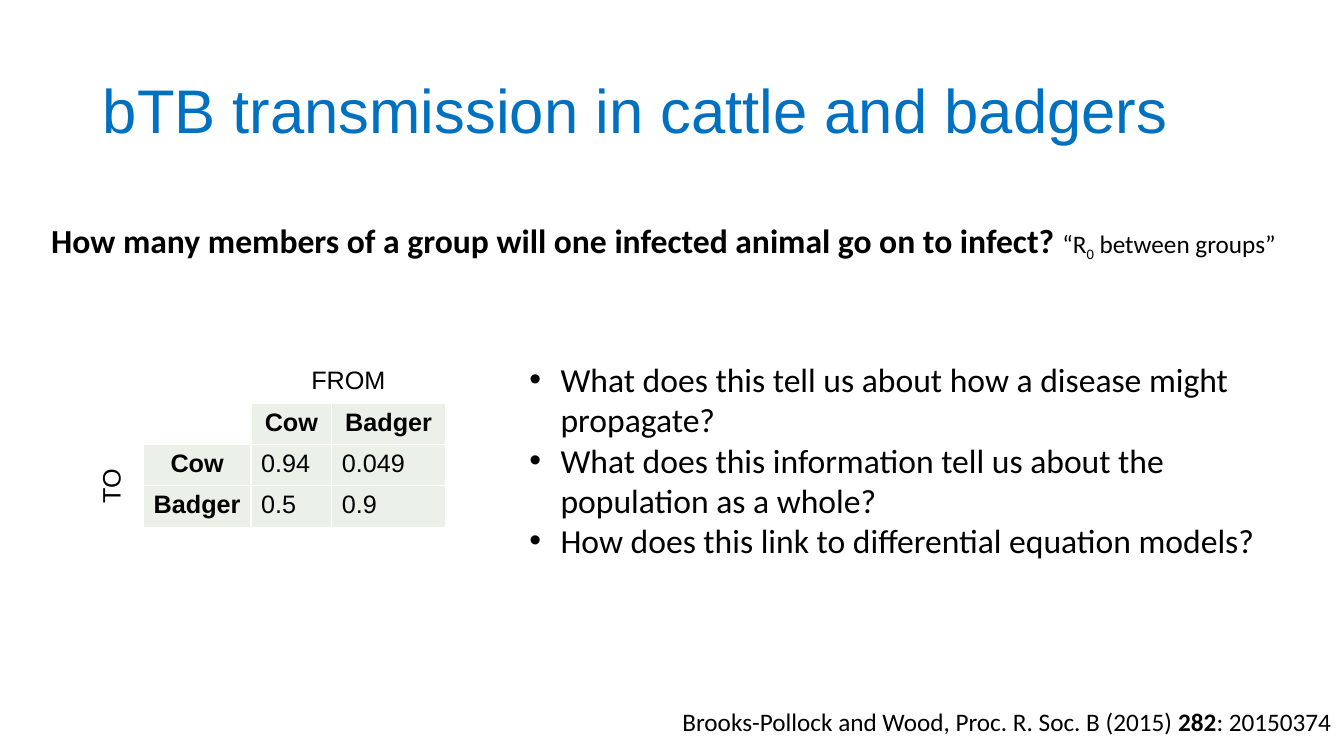
from lxml import etree
from pptx import Presentation
from pptx.dml.color import RGBColor
from pptx.enum.text import MSO_ANCHOR, MSO_AUTO_SIZE, PP_ALIGN
from pptx.oxml.ns import qn
from pptx.util import Inches, Pt

LEFT, CENTER = PP_ALIGN.LEFT, PP_ALIGN.CENTER
MIDDLE, TOP = MSO_ANCHOR.MIDDLE, MSO_ANCHOR.TOP
NO_AUTOFIT = MSO_AUTO_SIZE.NONE

BLUE = RGBColor(0x00, 0x70, 0xC0)
BLACK = RGBColor(0x00, 0x00, 0x00)
WHITE = RGBColor(0xFF, 0xFF, 0xFF)
PALE_GREEN = RGBColor(0xEB, 0xF1, 0xE9)
HEADING_FONT, TEXT_FONT = "Arial", "Calibri"


class SlideBuilder:
    def __init__(self, slide):
        self.slide = slide

    def run(self, paragraph, text, size=18, font=TEXT_FONT, color=BLACK,
            bold=False, baseline=None):
        run = paragraph.add_run()
        run.text = text
        run.font.size = Pt(size)
        run.font.name = font
        run.font.bold = bold
        run.font.color.rgb = color
        if baseline is not None:
            run.font._element.set("baseline", str(baseline))

    def place(self, shape, box, anchor):
        shape.left, shape.top, shape.width, shape.height = map(Inches, box)
        frame = shape.text_frame
        frame.word_wrap = True
        frame.auto_size = NO_AUTOFIT
        frame.vertical_anchor = anchor
        return frame

    def title(self, text, box):
        frame = self.place(self.slide.shapes.title, box, MIDDLE)
        heading = frame.paragraphs[0]
        heading.alignment = LEFT
        heading.line_spacing = 0.9
        self.run(heading, text, 44, HEADING_FONT, BLUE)

    def bullets(self, items, box, indent=0.31):
        frame = self.place(self.slide.placeholders[1], box, TOP)
        for index, item in enumerate(items):
            paragraph = frame.add_paragraph() if index else frame.paragraphs[0]
            paragraph.space_before = Pt(0)
            properties = paragraph._p.get_or_add_pPr()
            properties.set("marL", str(Inches(indent)))
            properties.set("indent", str(-Inches(indent)))
            etree.SubElement(properties, qn("a:buFont")).set("typeface", "Arial")
            etree.SubElement(properties, qn("a:buChar")).set("char", "•")
            self.run(paragraph, item, 24)

    def text(self, runs, box):
        textbox = self.slide.shapes.add_textbox(*map(Inches, box))
        frame = self.place(textbox, box, TOP)
        frame.margin_right = 0
        for text, style in runs:
            self.run(frame.paragraphs[0], text, **style)

    def borders(self, cell):
        properties = cell._tc.get_or_add_tcPr()
        for side in ("lnL", "lnR", "lnT", "lnB"):
            line = etree.SubElement(properties, qn(f"a:{side}"), w=str(Pt(1)))
            fill = etree.SubElement(line, qn("a:solidFill"))
            etree.SubElement(fill, qn("a:srgbClr"), val=str(WHITE))

    def table(self, rows, position, widths, row_height, merges):
        size = sum(widths), row_height * len(rows)
        table = self.slide.shapes.add_table(
            len(rows), len(widths), *map(Inches, position + size)).table
        for column, width in zip(table.columns, widths):
            column.width = Inches(width)
        for r, row in enumerate(rows):
            table.rows[r].height = Inches(row_height)
            for c, text in enumerate(row):
                cell = table.cell(r, c)
                self.borders(cell)
                # The group-by-group matrix is shaded, the axis labels are not
                if r and c and r + c > 2:
                    cell.fill.solid()
                    cell.fill.fore_color.rgb = PALE_GREEN
                else:
                    cell.fill.background()
                if text:
                    paragraph = cell.text_frame.paragraphs[0]
                    is_value = r > 1 and c > 1
                    paragraph.alignment = LEFT if is_value else CENTER
                    is_group = (r == 1) != (c == 1)
                    self.run(paragraph, text, font=HEADING_FONT, bold=is_group)
        for first, last in merges:
            table.cell(*first).merge(table.cell(*last))
        return table


def main():
    presentation = Presentation()
    presentation.slide_width = Inches(13.33)
    presentation.slide_height = Inches(7.5)
    builder = SlideBuilder(
        presentation.slides.add_slide(presentation.slide_layouts[1]))

    # Title and question
    builder.title("bTB transmission in cattle and badgers", (0.92, 0.4, 11.5, 1.45))
    builder.text([
        ("How many members of a group will one infected animal go on to infect? ",
         {"size": 24, "bold": True}),
        ("“R", {}),
        ("0", {"baseline": -25000}),
        (" between groups”", {}),
    ], (0.41, 2.13, 12.52, 0.81))

    # Discussion points
    builder.bullets([
        "What does this tell us about how a disease might propagate?",
        "What does this information tell us about the population as a whole?",
        "How does this link to differential equation models?",
    ], (5.15, 3.51, 7.53, 2.12))

    # Transmission matrix
    matrix = builder.table([
        ("", "", "FROM", ""),
        ("", "", "Cow", "Badger"),
        ("TO", "Cow", "0.94", "0.049"),
        ("", "Badger", "0.5", "0.9"),
    ], (0.92, 3.59), (0.5, 1.07, 0.8, 1.13), 0.41,
        [((0, 0), (1, 1)), ((0, 2), (0, 3)), ((2, 0), (3, 0))])
    matrix.cell(2, 0)._tc.get_or_add_tcPr().set("vert", "vert270")

    # Citation
    builder.text([
        ("Brooks-Pollock and Wood, Proc. R. Soc. B (2015) ", {}),
        ("282", {"bold": True}),
        (": 20150374", {}),
    ], (6.67, 6.96, 6.66, 0.4))

    presentation.save("out.pptx")


if __name__ == "__main__":
    main()
